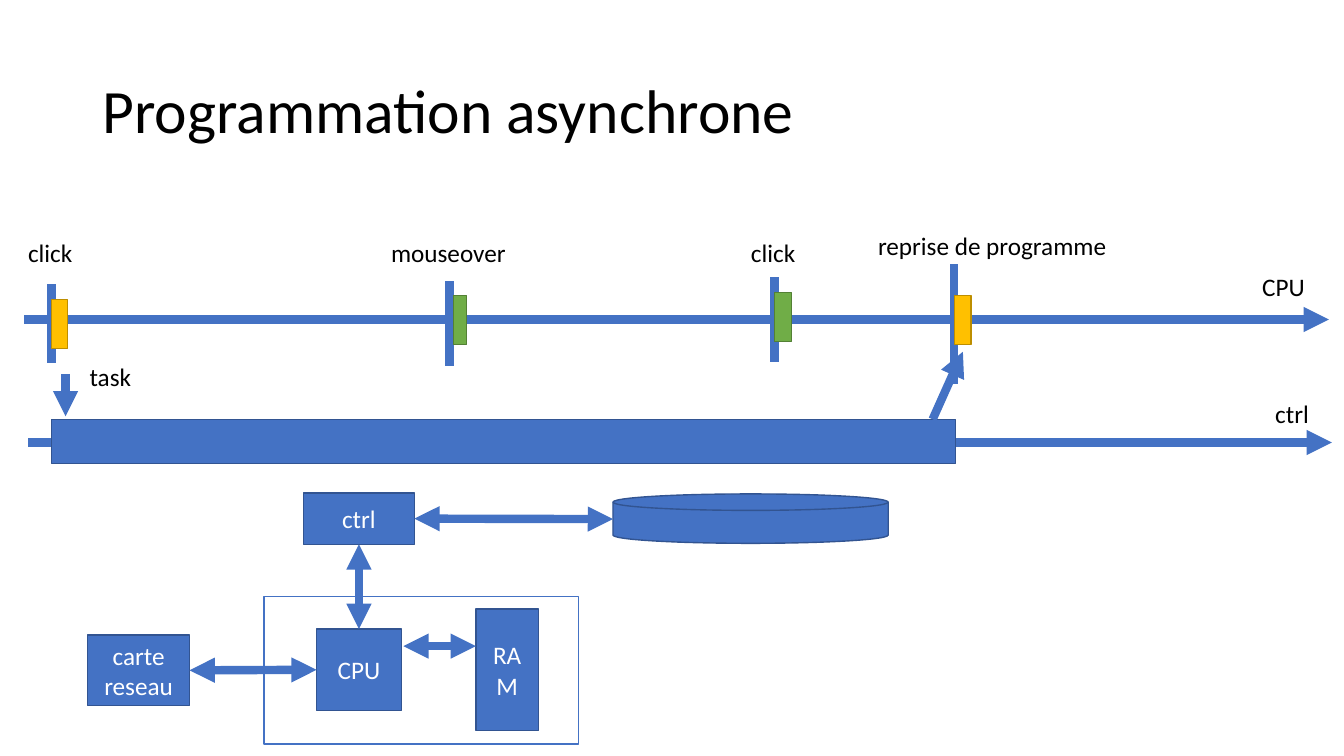
from typing import Any, NamedTuple, Optional

from pptx import Presentation
from pptx.dml.color import RGBColor
from pptx.enum.shapes import MSO_CONNECTOR as Wire, MSO_SHAPE as Form
from pptx.enum.text import MSO_ANCHOR as Anchor, MSO_AUTO_SIZE as Fit, PP_ALIGN as Align
from pptx.oxml.ns import qn
from pptx.util import Inches, Pt
from lxml.etree import SubElement

BLUE = RGBColor(0x44, 0x72, 0xC4)
NAVY = RGBColor(0x32, 0x54, 0x91)
GOLD = RGBColor(0xFF, 0xC0, 0x00)
BROWN = RGBColor(0xBD, 0x8E, 0x00)
GREEN = RGBColor(0x70, 0xAD, 0x47)
MOSS = RGBColor(0x53, 0x80, 0x35)
BLACK = RGBColor(0, 0, 0)
WHITE = RGBColor(255, 255, 255)

TOP, LEFT, BOTTOM, RIGHT = range(4)
LABEL = {"word_wrap": False, "auto_size": Fit.SHAPE_TO_FIT_TEXT}
TITLE = {"word_wrap": True, "vertical_anchor": Anchor.MIDDLE}
INNER = {"word_wrap": True, "vertical_anchor": Anchor.MIDDLE}


class Box(NamedTuple):
    left: float
    top: float
    width: float
    height: float
    text: str = ""
    fill: RGBColor = BLUE
    edge: RGBColor = NAVY
    form: Any = Form.RECTANGLE


class Line(NamedTuple):
    x1: float
    y1: float
    x2: float
    y2: float
    head: bool = False
    tail: bool = False
    start: Optional[tuple[str, int]] = None
    end: Optional[tuple[str, int]] = None


class Label(NamedTuple):
    left: float
    top: float
    width: float
    text: str


# Time lines, with their event ticks and handlers
AXES = [Line(0.24, 3.17, 13.18, 3.17, tail=True),
        Line(0.28, 4.39, 13.21, 4.39, tail=True)]
TICKS = [Line(x, top, x, end) for x, top, end in
         [(0.51, 2.82, 3.6), (4.46, 2.79, 3.63), (7.68, 2.75, 3.59), (9.46, 2.62, 3.81)]]
TASKS = [Box(0.51, 2.97, 0.16, 0.49, "", GOLD, BROWN),
         Box(4.5, 2.93, 0.13, 0.49, "", GREEN, MOSS),
         Box(7.68, 2.9, 0.17, 0.49, "", GREEN, MOSS),
         Box(9.47, 2.93, 0.16, 0.49, "", GOLD, BROWN),
         Box(0.51, 4.16, 8.97, 0.44)]
CALLS = [Line(9.25, 4.16, 9.55, 3.49, tail=True),
         Line(0.65, 3.71, 0.65, 4.13, tail=True)]
LABELS = [Label(0.18, 2.31, 0.65, "click"),
          Label(3.78, 2.31, 1.35, "mouseover"),
          Label(0.79, 3.54, 0.62, "task"),
          Label(7.35, 2.31, 0.65, "click"),
          Label(8.61, 2.24, 2.49, "reprise de programme"),
          Label(12.42, 2.64, 0.63, "CPU"),
          Label(12.55, 3.9, 0.54, "ctrl")]

# Hardware diagram
PARTS = {"board": Box(2.62, 5.92, 3.12, 1.46, "", WHITE, BLUE),
         "cpu": Box(3.14, 6.24, 0.84, 0.81, "CPU"),
         "ram": Box(4.72, 6.04, 0.62, 1.21, "RAM"),
         "ctrl": Box(3.01, 4.89, 1.1, 0.51, "ctrl"),
         "disk": Box(6.08, 4.9, 2.73, 0.49, form=Form.FLOWCHART_MAGNETIC_DISK),
         "net": Box(0.87, 6.3, 1.01, 0.7, "carte reseau")}
LINKS = [Line(4, 6.41, 4.72, 6.41, True, True),
         Line(3.56, 6.24, 3.56, 5.4, True, True, ("cpu", TOP), ("ctrl", BOTTOM)),
         Line(4.11, 5.15, 6.08, 5.15, True, True, ("ctrl", RIGHT)),
         Line(1.88, 6.65, 3.14, 6.64, True, True, ("net", RIGHT), ("cpu", LEFT))]


def write(shape: Any, text: str, size: int, color: RGBColor, style: dict[str, Any]) -> Any:
    """Fill a shape's text frame and return its paragraph."""
    frame = shape.text_frame
    for name, value in style.items():
        setattr(frame, name, value)
    para = frame.paragraphs[0]
    run = para.add_run()
    run.text = text
    for name, value in {"name": "Calibri", "size": Pt(size)}.items():
        setattr(run.font, name, value)
    run.font.color.rgb = color
    return para


def draw_box(slide: Any, box: Box) -> Any:
    shape = slide.shapes.add_shape(box.form, *map(Inches, box[:4]))
    shape.shadow.inherit = False
    shape.fill.solid()
    shape.fill.fore_color.rgb = box.fill
    shape.line.color.rgb = box.edge
    shape.line.width = Pt(1)
    if box.text:
        write(shape, box.text, 18, WHITE, INNER).alignment = Align.CENTER
    return shape


def draw_line(slide: Any, line: Line, parts: dict[str, Any]) -> None:
    wire = slide.shapes.add_connector(Wire.STRAIGHT, *map(Inches, line[:4]))
    wire.line.color.rgb = BLUE
    wire.line.width = Pt(6)
    for name, shown in (("a:headEnd", line.head), ("a:tailEnd", line.tail)):
        if shown:
            SubElement(wire.line._get_or_add_ln(), qn(name), type="triangle")
    SubElement(wire._element.spPr, qn("a:effectLst"))
    for join, site in ((wire.begin_connect, line.start), (wire.end_connect, line.end)):
        if site:
            join(parts[site[0]], site[1])


def draw_label(slide: Any, label: Label) -> None:
    place = map(Inches, (label.left, label.top, label.width, 0.4))
    write(slide.shapes.add_textbox(*place), label.text, 18, BLACK, LABEL)


def main() -> None:
    deck = Presentation()
    deck.slide_width, deck.slide_height = Inches(13.33), Inches(7.5)
    slide = deck.slides.add_slide(deck.slide_layouts[6])

    # Title
    title = slide.shapes.add_textbox(*map(Inches, (0.92, 0.4, 11.5, 1.45)))
    write(title, "Programmation asynchrone", 44, BLACK, TITLE).line_spacing = 0.9

    # Time lines
    for line in AXES + TICKS:
        draw_line(slide, line, {})
    for box in TASKS:
        draw_box(slide, box)
    for line in CALLS:
        draw_line(slide, line, {})
    for label in LABELS:
        draw_label(slide, label)

    # Hardware
    parts = {name: draw_box(slide, box) for name, box in PARTS.items()}
    for line in LINKS:
        draw_line(slide, line, parts)

    deck.save("out.pptx")


if __name__ == "__main__":
    main()
